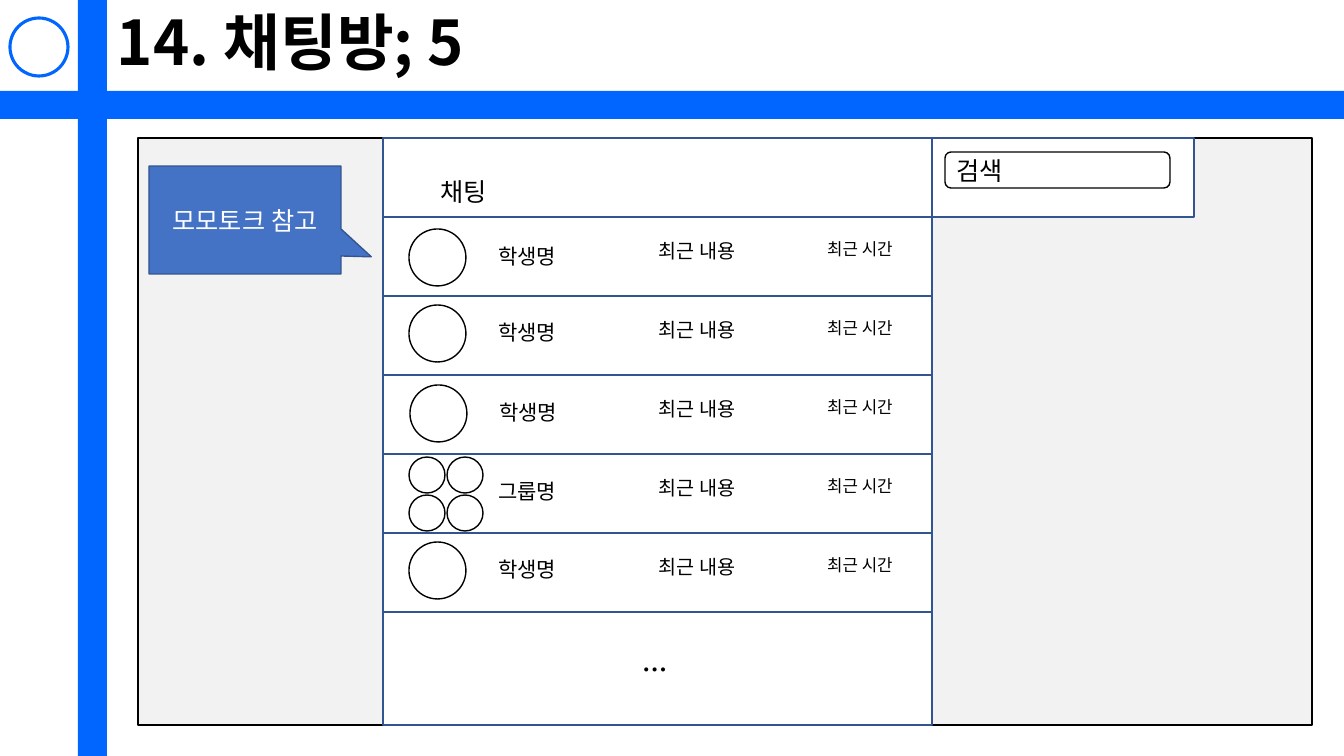
from pptx import Presentation
from pptx.dml.color import RGBColor
from pptx.enum.shapes import MSO_SHAPE as Preset
from pptx.enum.text import MSO_ANCHOR as Anchor, PP_ALIGN as Align
from pptx.oxml.ns import qn
from pptx.util import Emu, Pt

PX = 12192000 / 1344
FONT = "Noto Sans CJK KR"
BLUE = RGBColor(0x00, 0x66, 0xFF)
NAVY = RGBColor(0x32, 0x54, 0x91)
NOTE_BLUE = RGBColor(0x44, 0x72, 0xC4)
GREY = RGBColor(0xF2, 0xF2, 0xF2)
WHITE = RGBColor(0xFF, 0xFF, 0xFF)
BLACK = RGBColor(0x00, 0x00, 0x00)
ROW_HEIGHT = 79
ROWS = [("학생명", 26, 12), ("학생명", 26, 9), ("학생명", 27, 10),
        ("그룹명", 26, 3), ("학생명", 26, 9)]


def emu(*lengths):
    """Turn px lengths into EMU."""
    return [Emu(round(length * PX)) for length in lengths]


def write(holder, words, size, align=Align.LEFT, anchor=Anchor.TOP, color=BLACK, bold=False):
    """Put one formatted line of words into a shape or text box."""
    frame = holder.text_frame
    frame.word_wrap = True
    frame.vertical_anchor = anchor
    line = frame.paragraphs[0]
    line.alignment = align
    run = line.add_run()
    run.text = words
    for key, value in {"name": FONT, "size": Pt(size), "bold": bold}.items():
        setattr(run.font, key, value)
    run.font.color.rgb = color
    run.font._element.get_or_add_latin().addnext(
        run.font._element.makeelement(qn("a:ea"), {"typeface": FONT}))
    return line


def label(slide, box, words, size, **style):
    """Add a text box holding one line."""
    return write(slide.shapes.add_textbox(*emu(*box)), words, size, **style)


def block(slide, preset, box, fill=WHITE, edge=None, weight=1):
    """Add a flat preset shape, without a fill or an edge where it is None."""
    part = slide.shapes.add_shape(preset, *emu(*box))
    part.shadow.inherit = False
    if fill is None:
        part.fill.background()
    else:
        part.fill.solid()
        part.fill.fore_color.rgb = fill
    if edge is None:
        part.line.fill.background()
    else:
        part.line.color.rgb = edge
        part.line.width = Pt(weight)
    return part


def draw_frame(slide, width, height):
    """Draw the crossing bars, the corner ring and the title."""
    block(slide, Preset.RECTANGLE, (78, 0, 29, height), BLUE)
    block(slide, Preset.RECTANGLE, (0, 91, width, 28), BLUE)
    block(slide, Preset.OVAL, (10, 18, 58, 58), None, BLUE, 2.25)
    title = label(slide, (107, 0, 1184, 91), "14. 채팅방; 5", 44,
                  anchor=Anchor.MIDDLE, bold=True)
    title.line_spacing = 0.9


def draw_search(slide, left, top):
    """Draw the search header with its input field."""
    block(slide, Preset.RECTANGLE, (left, top, 262, ROW_HEIGHT), WHITE, NAVY)
    field = block(slide, Preset.ROUNDED_RECTANGLE, (left + 13, top + 14, 225, 36), WHITE, BLACK)
    write(field, "검색", 18, anchor=Anchor.MIDDLE)


def draw_note(slide, box):
    """Draw the callout pointing at the chat list."""
    note = block(slide, Preset.RECTANGULAR_CALLOUT, box, NOTE_BLUE, NAVY)
    note.adjustments[0], note.adjustments[1] = 0.658, 0.341
    write(note, "모모토크 참고", 18, Align.CENTER, Anchor.MIDDLE, WHITE)


def draw_row(slide, left, top, width, name, avatar_dx, avatar_dy):
    """Draw one chat row: avatar, name, latest message and time."""
    block(slide, Preset.RECTANGLE, (left, top, width, ROW_HEIGHT), WHITE, NAVY)
    is_group = name == "그룹명"
    avatar_left, avatar_top = left + avatar_dx, top + avatar_dy
    diameter, offsets = (36, (0, 38)) if is_group else (57, (0,))
    name_top = avatar_top + (17 if is_group else 10)
    label(slide, (avatar_left + 15, name_top, 142, 35), name, 15,
          align=Align.RIGHT, anchor=Anchor.MIDDLE)
    for dy in offsets:
        for dx in offsets:
            block(slide, Preset.OVAL, (avatar_left + dx, avatar_top + dy, diameter, diameter),
                  WHITE, BLACK)
    label(slide, (left + 253, top + 17, 122, 34), "최근 내용", 14, align=Align.CENTER)
    label(slide, (left + 416, top + 17, 122, 30), "최근 시간", 12, align=Align.CENTER)


def draw_chat_list(slide, left, top, width, height):
    """Draw the chat column with its heading, rows and ellipsis."""
    block(slide, Preset.RECTANGLE, (left, top, width, height), WHITE, NAVY)
    label(slide, (left + 16, top + 33, 130, 40), "채팅", 18, align=Align.CENTER)
    for index, row in enumerate(ROWS, start=1):
        draw_row(slide, left, top + index * ROW_HEIGHT, width, *row)
    label(slide, (left + 202, top + 511, 140, 40), "…", 18, align=Align.CENTER, bold=True)


def draw_screen(slide, left, top, width, height):
    """Draw the chat screen mock-up inside the given box."""
    block(slide, Preset.RECTANGLE, (left, top, width, height), GREY, BLACK)
    draw_chat_list(slide, left + 245, top, 549, height)
    draw_search(slide, left + 794, top)
    draw_note(slide, (left + 11, top + 28, 192, 108))


def main():
    """Build and save the slide."""
    deck = Presentation()
    deck.slide_width, deck.slide_height = emu(1344, 756)
    slide = deck.slides.add_slide(deck.slide_layouts[6])
    draw_frame(slide, 1344, 756)
    draw_screen(slide, 138, 138, 1174, 587)
    deck.save("out.pptx")


if __name__ == "__main__":
    main()
